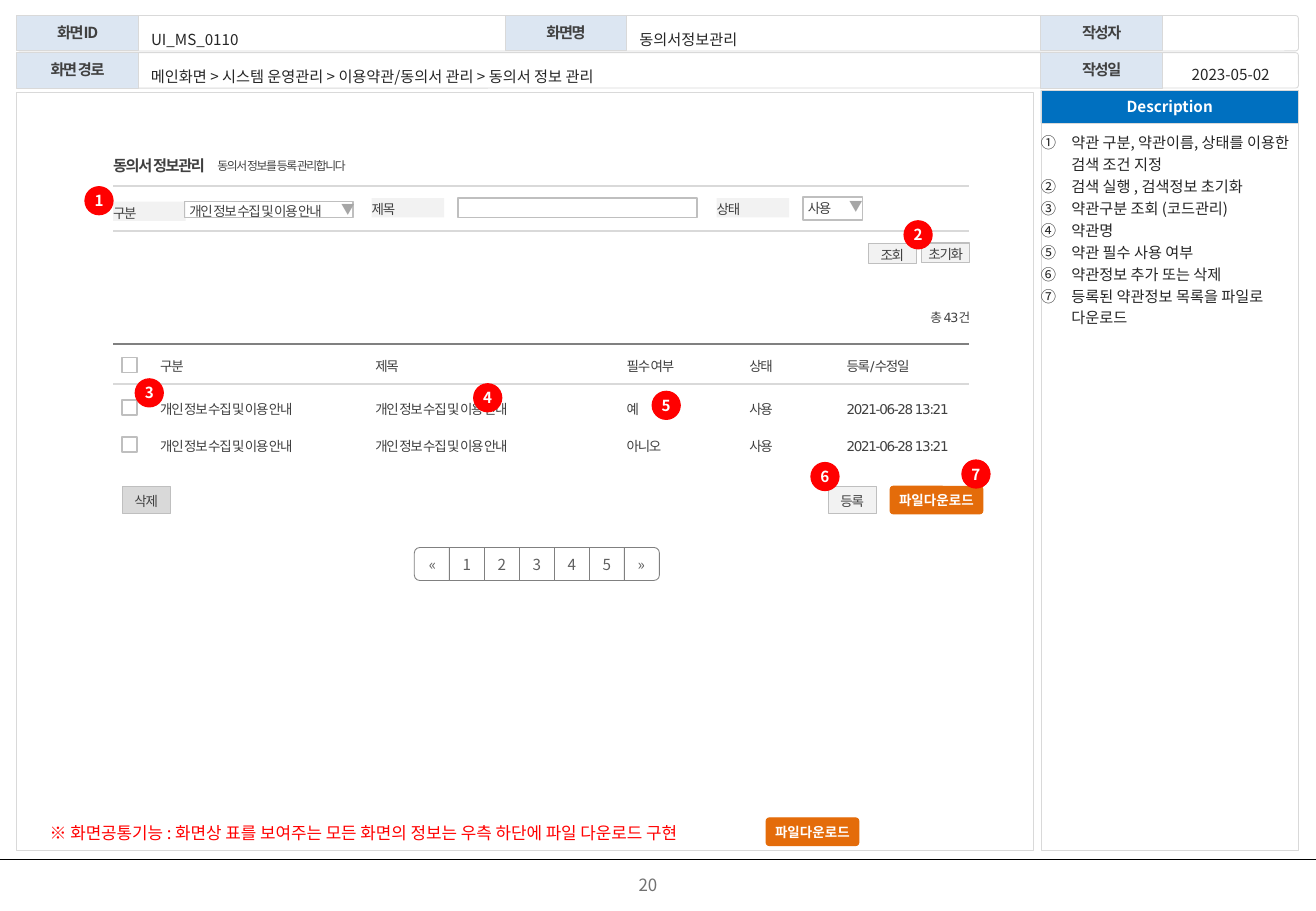
from dataclasses import dataclass

from lxml import etree
from pptx import Presentation
from pptx.dml.color import RGBColor
from pptx.enum import shapes, text
from pptx.oxml.ns import qn
from pptx.util import Pt

MSO = shapes.MSO_SHAPE
AL = text.PP_ALIGN


@dataclass(frozen=True)
class Theme:
    sans: str = "Noto Sans CJK KR"
    form: str = "DejaVu Sans"
    ink: str = "262626"
    label: str = "404040"
    pager: str = "5F5F5F"
    page: str = "717171"
    white: str = "FFFFFF"
    black: str = "000000"
    header: str = "DCE6F2"
    rule: str = "D9D9D9"
    dark_rule: str = "808080"
    field: str = "BFBFBF"
    arrow: str = "A6A6A6"
    pale: str = "F2F2F2"
    blue: str = "0070C0"
    orange: str = "E46C0A"
    red: str = "FF0000"
    note_size: float = 10
    body_size: float = 9
    form_size: float = 8
    count_size: float = 7.5
    hint_size: float = 7
    tight: float = -0.8


T = Theme()
FORM = dict(font=T.form, size=T.form_size, color=T.label, spc=T.tight)
FORM_LINE = dict(FORM, ls=1.2, wrap=False)
BUTTON = dict(FORM_LINE, align=AL.CENTER)
HEADER = dict(ls=1.5, inset=(6, 0, 0, 0), align=AL.JUSTIFY)
CENTER_BOLD = dict(align=AL.CENTER, bold=True)


def write(sp, lines, font=T.sans, size=T.body_size, color=T.ink, bold=False,
          spc=0, align=AL.LEFT, ls=1, inset=(0, 0, 0, 0), wrap=True,
          anchor=text.MSO_ANCHOR.MIDDLE):
    tf = sp.text_frame
    tf.auto_size = text.MSO_AUTO_SIZE.NONE
    tf.word_wrap, tf.vertical_anchor = wrap, anchor
    tf.margin_left, tf.margin_top, tf.margin_right, tf.margin_bottom = map(Pt, inset)
    tf.text = lines
    for p in tf.paragraphs:
        p.alignment, p.line_spacing = align, ls
        for r in p.runs:
            r.font.name, r.font.size, r.font.bold = font, Pt(size), bold
            r.font.color.rgb = RGBColor.from_string(color)
            rpr = r.font._element
            if spc:
                rpr.set("spc", str(round(spc * 100)))
            ea = etree.Element(qn("a:ea"), typeface=T.sans)
            rpr.find(qn("a:latin")).addnext(ea)


def label(s, at, words, **style):
    sp = s.shapes.add_textbox(*map(Pt, at))
    write(sp, words, **style)
    return sp


def box(s, at, words="", kind=MSO.RECTANGLE, fill=None, line=None, width=0.5,
        adj=None, **style):
    sp = s.shapes.add_shape(kind, *map(Pt, at))
    sp.shadow.inherit = False
    if adj is not None:
        sp.adjustments[0] = adj
    if fill:
        sp.fill.solid()
        sp.fill.fore_color.rgb = RGBColor.from_string(fill)
    else:
        sp.fill.background()
    if line:
        sp.line.color.rgb = RGBColor.from_string(line)
        sp.line.width = Pt(width)
    else:
        sp.line.fill.background()
    if words:
        write(sp, words, **style)
    return sp


def rule(s, x1, x2, y, color, width=1):
    c = s.shapes.add_connector(shapes.MSO_CONNECTOR.STRAIGHT, Pt(x1), Pt(y), Pt(x2), Pt(y))
    c.line.color.rgb = RGBColor.from_string(color)
    c.line.width = Pt(width)
    etree.SubElement(c._element.spPr, qn("a:effectLst"))


def button(s, at, words, fill=T.pale):
    box(s, at, words, fill=fill, line=T.field, width=0.75, **BUTTON)


def download_button(s, x, y):
    box(s, (x, y, 55, 16.4), "파일다운로드", MSO.ROUNDED_RECTANGLE, T.orange, T.orange,
        adj=0.11, size=T.form_size, color=T.white, wrap=False, **CENTER_BOLD)


def select(s, at, words, arrow_at, **style):
    box(s, at, words, line=T.field, width=1, inset=(2.9, 3.6, 2.9, 3.6), **FORM, **style)
    box(s, arrow_at, "▼", size=T.form_size, color=T.arrow, spc=T.tight,
        inset=(2.9, 3.6, 2.9, 3.6), **CENTER_BOLD)


def marker(s, number, x, y):
    box(s, (x, y, 16.6, 16.6), str(number), MSO.OVAL, T.red, T.red, 0.75,
        color=T.white, wrap=False, **CENTER_BOLD)


def pager(s, x, y, pages):
    w, h = 20.75, 19.6
    style = dict(fill=T.white, line=T.dark_rule, color=T.pager, align=AL.CENTER)
    for i, page in enumerate(pages):
        left = x + i * w
        if 0 < i < len(pages) - 1:
            box(s, (left, y, w, h), page, inset=(7.2, 3.6, 7.2, 3.6), **style)
            continue
        # End cells are upright shapes turned outward, with text turned back
        sp = box(s, (left + (w - h) / 2, y - (w - h) / 2, h, w), page,
                 MSO.ROUND_2_SAME_RECTANGLE, inset=(3.6, 7.2, 3.6, 7.2), **style)
        sp.rotation = 90 if i else 270
        sp.text_frame._txBody.bodyPr.set("vert", "vert270" if i else "vert")


def header(s):
    for y in (9.2, 31.2):
        box(s, (10, y, 759.6, 21), kind=MSO.ROUNDED_RECTANGLE, line=T.rule, adj=0.08)
    for x, y, words in ((10, 9.2, "화면ID"), (299.5, 9.2, "화면명"), (617, 9.2, "작성자"),
                        (10, 31.2, "화면 경로"), (617, 31.2, "작성일")):
        box(s, (x, y, 72, 21), words, fill=T.header, line=T.rule, color=T.label,
            spc=T.tight, ls=0.9, **CENTER_BOLD)
    title = s.shapes.title
    title.left, title.top, title.width, title.height = map(Pt, (373, 9.4, 244, 22.3))
    write(title, "동의서정보관리", **HEADER)
    label(s, (83.5, 9.4, 215.3, 22.3), "UI_MS_0110", **HEADER)
    label(s, (83.5, 31.7, 532.8, 22.3),
          "메인화면 > 시스템 운영관리 > 이용약관/동의서 관리 > 동의서 정보 관리", **HEADER)
    label(s, (690.5, 31.7, 77.8, 19.4), "2023-05-02", align=AL.CENTER, ls=1.5)


def description(s):
    box(s, (617, 73.4, 152.6, 431), line=T.rule)
    box(s, (617, 53.6, 152.6, 19.4), "Description", fill=T.blue, line=T.rule,
        color=T.white, wrap=False, **CENTER_BOLD)
    items = ("약관 구분, 약관이름, 상태를 이용한 검색 조건 지정", "검색 실행 , 검색정보 초기화",
             "약관구분 조회 (코드관리)", "약관명", "약관 필수 사용 여부",
             "약관정보 추가 또는 삭제", "등록된 약관정보 목록을 파일로 다운로드")
    sp = label(s, (617, 77, 153.4, 350), "\n".join(items), ls=1.2,
               anchor=text.MSO_ANCHOR.TOP)
    for p in sp.text_frame.paragraphs:
        ppr = p._p.get_or_add_pPr()
        ppr.set("marL", str(Pt(18)))
        ppr.set("indent", str(-Pt(18)))
        etree.SubElement(ppr, qn("a:buAutoNum"), type="circleNumDbPlain")


def search_form(s):
    label(s, (67, 91.4, 57, 11.5), "동의서 정보관리",
          **dict(FORM_LINE, size=T.body_size, bold=True))
    label(s, (128.9, 92.2, 136, 10.8), "동의서 정보를 등록 관리합니다",
          **dict(FORM_LINE, size=T.hint_size))
    for y in (110.2, 136.8):
        rule(s, 67, 574.6, y, T.rule)
    for x, y, words in ((67, 119.5, "구분"), (220.3, 117.4, "제목"), (424.8, 117.4, "상태")):
        box(s, (x, y, 43, 11.5), words, fill=T.pale, **FORM_LINE)
    select(s, (109.4, 119.5, 100, 9.4), "개인 정보 수집 및 이용 안내",
           (199.4, 118.8, 10.1, 10.8), ls=1.2)
    box(s, (271.4, 117.4, 141.8, 11.5), line=T.field, width=1)
    select(s, (475.9, 116.6, 35.3, 13.7), "사용", (500.4, 116.6, 10.8, 11.5))
    button(s, (514.8, 144.4, 28.4, 11.8), "조회")
    button(s, (546.4, 144, 28.4, 11.8), "초기화")


def consent_list(s):
    label(s, (551.5, 181.4, 22.3, 11.5), "총 43건", **dict(FORM_LINE, size=T.count_size))
    rule(s, 67, 574.6, 203.8, T.dark_rule)
    rule(s, 67, 574.6, 227.5, T.rule)
    name, date = "개인 정보 수집 및 이용 안내", "2021-06-28 13:21"
    columns = ((95, 113), (222.5, 127), (371.5, 30), (444.2, 30), (501.8, 70))
    rows = ((210.4, ("구분", "제목", "필수 여부", "상태", "등록/수정일")),
            (235.6, (name, name, "예", "사용", date)),
            (257.6, (name, name, "아니오", "사용", date)))
    for y, cells in rows:
        box(s, (72.5, y + 1.6, 8.8, 8.8), line=T.field, width=1)
        for (x, w), words in zip(columns, cells):
            label(s, (x, y, w, 11.5), words, **FORM_LINE)
    button(s, (72.5, 288.5, 28.4, 15.7), "삭제", T.rule)
    button(s, (491, 288.5, 28.4, 15.7), "등록")
    download_button(s, 527.6, 288.2)
    pager(s, 245.6, 324.5, "«12345»")


def main():
    prs = Presentation()
    prs.slide_width, prs.slide_height = Pt(780), Pt(540)
    s = prs.slides.add_slide(prs.slide_layouts[5])

    # Page frame
    header(s)
    box(s, (10, 54.8, 602.4, 449.4), line=T.rule)
    rule(s, 0, 780, 509.5, T.black, 0.5)
    label(s, (293, 513, 182.2, 22.3), "20", size=T.note_size, color=T.page,
          align=AL.CENTER)
    description(s)

    # Screen mock-up
    search_form(s)
    consent_list(s)

    # Common note
    label(s, (29.5, 481.2, 422.6, 18.7),
          "※ 화면공통기능 : 화면상 표를 보여주는 모든 화면의 정보는 우측 하단에 파일 다운로드 구현",
          size=T.note_size, color=T.red, ls=1.5, wrap=False)
    download_button(s, 454.1, 484.8)

    # Numbered markers
    spots = ((50.4, 110.7), (535.9, 130.9), (80.2, 224.6), (280.8, 227.5),
             (386.6, 232), (480.7, 274.2), (570.2, 272.7))
    for number, (x, y) in enumerate(spots, 1):
        marker(s, number, x, y)

    prs.save("out.pptx")


if __name__ == "__main__":
    main()
